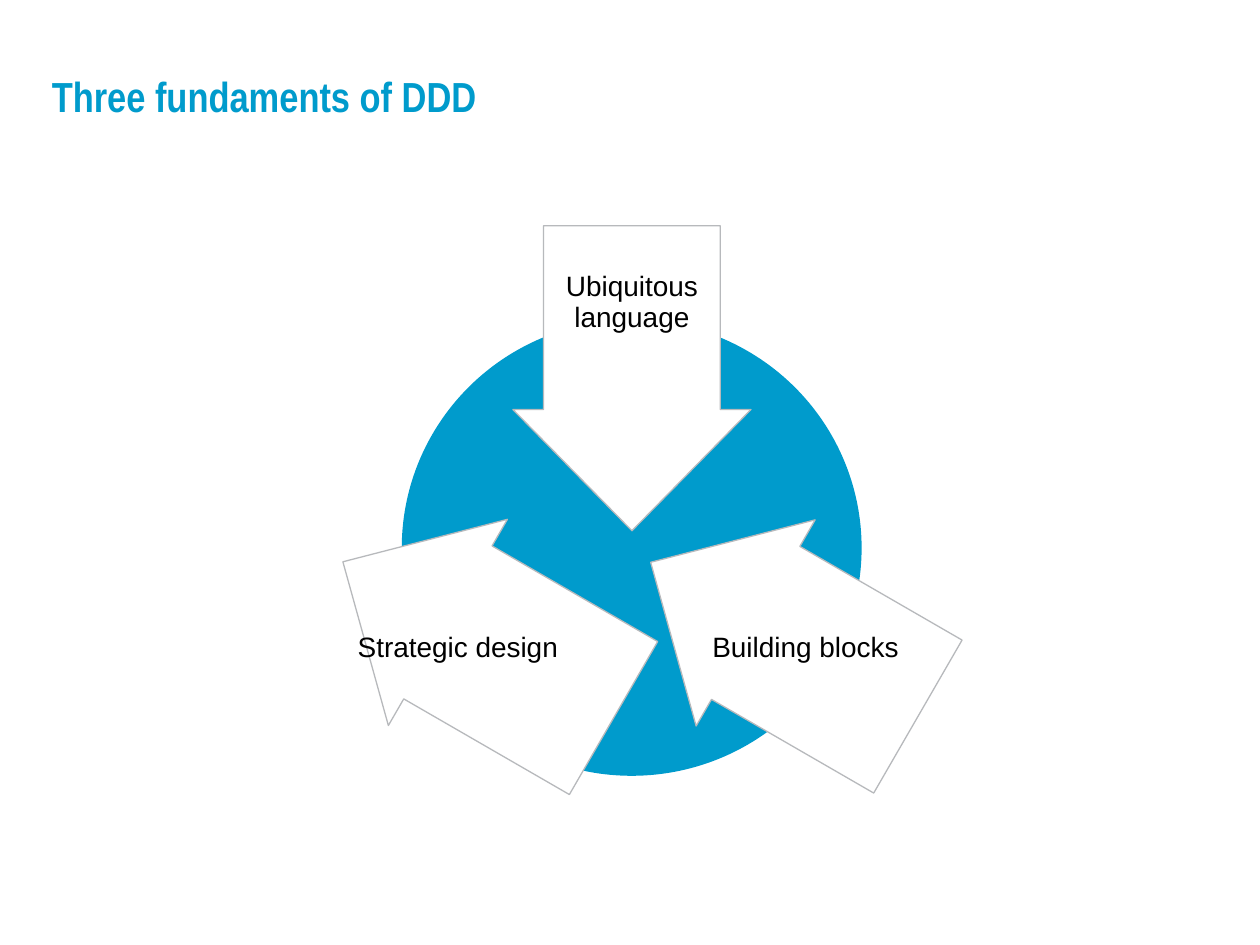
import pptx
import pptx.util
from pptx.dml.color import RGBColor
from pptx.enum.shapes import MSO_SHAPE
from pptx.enum.text import MSO_ANCHOR, MSO_AUTO_SIZE, PP_ALIGN

Cm = pptx.util.Cm
Pt = pptx.util.Pt

COLORS = {"blue": "009BCC", "white": "FFFFFF", "outline": "B7B9BC", "text": "000000"}
ARROW_WIDTH = 4.8
LABEL_SIZE = (5, 0.86)


def color(name):
    return RGBColor.from_string(COLORS[name])


def place(shape, left, top, width, height):
    shape.left, shape.top = Cm(left), Cm(top)
    shape.width, shape.height = Cm(width), Cm(height)


def write(shape, text, size, font_name, color_name, align, anchor, bold=False):
    frame = shape.text_frame
    frame.word_wrap = True
    frame.auto_size = MSO_AUTO_SIZE.NONE
    frame.vertical_anchor = anchor
    paragraph = frame.paragraphs[0]
    paragraph.alignment = align
    run = paragraph.add_run()
    run.text = text
    run.font.size = Pt(size)
    run.font.name = font_name
    run.font.bold = bold
    run.font.color.rgb = color(color_name)
    return paragraph


def write_label(shape, text):
    paragraph = write(shape, text, 16, "Arial", "text", PP_ALIGN.CENTER, MSO_ANCHOR.MIDDLE)
    paragraph.line_spacing = 0.9


def add_filled_shape(slide, kind, box, fill):
    shape = slide.shapes.add_shape(kind, *(Cm(length) for length in box))
    shape.shadow.inherit = False
    shape.fill.solid()
    shape.fill.fore_color.rgb = color(fill)
    shape.line.fill.background()
    return shape


def add_arrow(slide, left, top, height, rotation=0):
    arrow = add_filled_shape(slide, MSO_SHAPE.DOWN_ARROW, (left, top, ARROW_WIDTH, height), "white")
    arrow.line.color.rgb = color("outline")
    arrow.line.width = Pt(0.75)
    arrow.adjustments[0] = 0.742
    arrow.adjustments[1] = 0.509
    arrow.rotation = rotation
    return arrow


def add_title(slide, left, top, width, height):
    title = slide.shapes.title
    place(title, left, top, width, height)
    write(title, "Three fundaments of DDD", 24, "Arial Narrow", "blue",
          PP_ALIGN.LEFT, MSO_ANCHOR.BOTTOM, bold=True)


def add_fundaments(slide, left, top):
    """Draw the circle with its three labelled arrows from the given corner."""
    add_filled_shape(slide, MSO_SHAPE.OVAL, (left + 1.37, top + 1.9, 9.27, 9.19), "blue")
    add_arrow(slide, left + 0.51, top + 5.2, 6.3, rotation=120)
    add_arrow(slide, left + 6.68, top + 5.23, 6.22, rotation=120)

    language_arrow = add_arrow(slide, left + 3.61, top, 6.15)
    write_label(language_arrow, "Ubiquitous language")
    language_arrow.text_frame.margin_bottom = Cm(1.35)

    for text, offset in (("Strategic design", 0), ("Building blocks", 7.01)):
        box = (left + offset, top + 8.1, *LABEL_SIZE)
        label = slide.shapes.add_textbox(*(Cm(length) for length in box))
        write_label(label, text)


def main():
    presentation = pptx.Presentation()
    presentation.slide_width = Cm(25.4)
    presentation.slide_height = Cm(19.05)
    slide = presentation.slides.add_slide(presentation.slide_layouts.get_by_name("Title Only"))
    add_title(slide, 0.79, 1.02, 18.85, 1.55)
    add_fundaments(slide, 6.73, 4.55)
    presentation.save("out.pptx")


if __name__ == "__main__":
    main()
